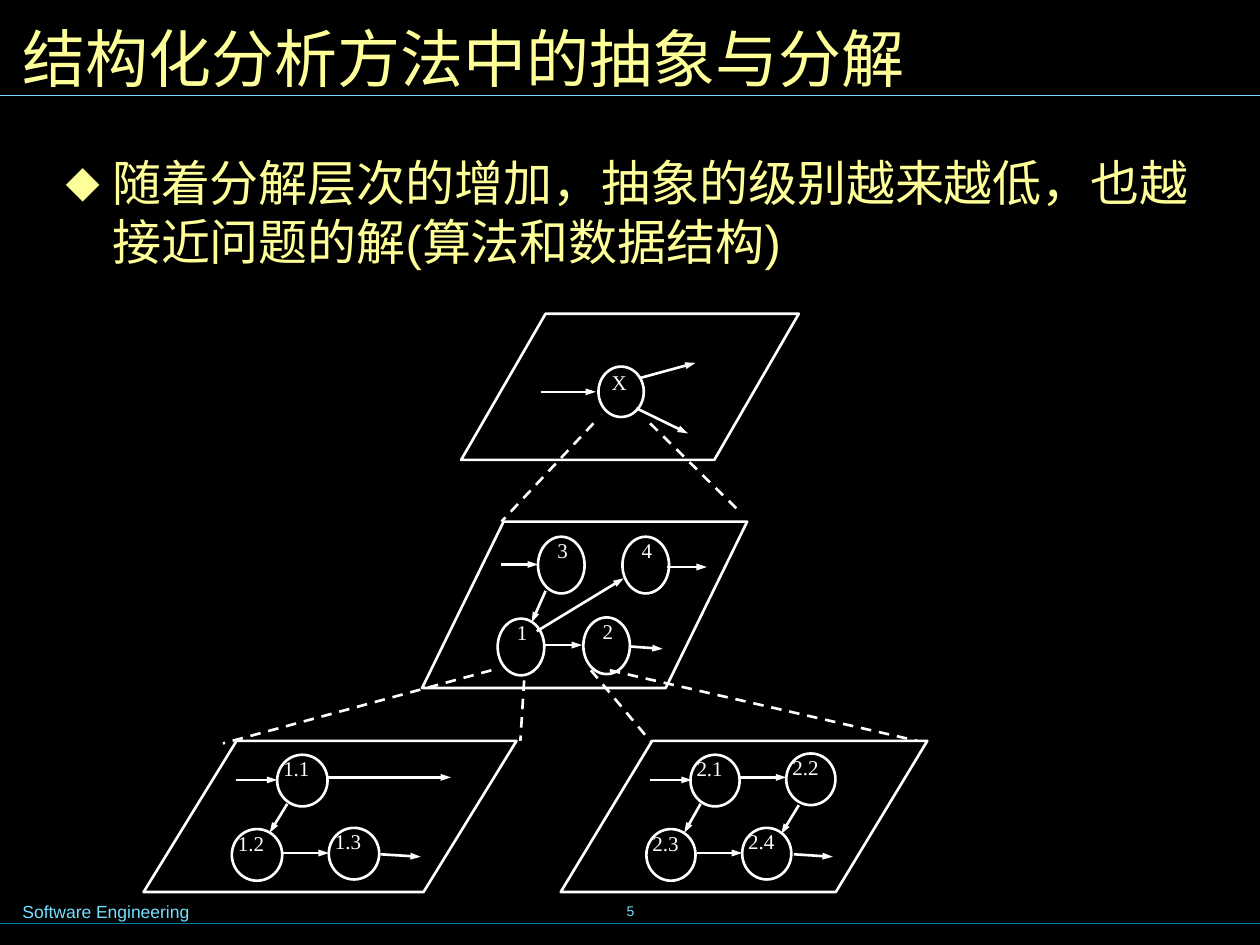
from lxml.etree import SubElement
from pptx import Presentation
from pptx.dml.color import RGBColor
from pptx.enum.dml import MSO_LINE
from pptx.enum.shapes import MSO_CONNECTOR, MSO_SHAPE
from pptx.enum.text import MSO_ANCHOR, PP_ALIGN
from pptx.oxml.ns import qn
from pptx.util import Pt

PX = 9144  # EMU in one px, 100 px to the inch
BLACK = RGBColor(0x00, 0x00, 0x00)
WHITE = RGBColor(0xFF, 0xFF, 0xFF)
CREAM = RGBColor(0xFF, 0xFF, 0x99)
SKY = RGBColor(0x73, 0xE1, 0xFF)
TEAL = RGBColor(0x00, 0x7E, 0x9F)

# Node places and flows are relative to the panel, labels to their node.
TOP = dict(
    box=(366, 249, 268, 116), slant=0.578, size=(36, 40),
    label=(-8, -3, 49, 47), align=PP_ALIGN.CENTER,
    nodes={"X": (109, 42)},
    flows=[(139, 75, 180, 95), (63, 62, 107, 62), (142, 51, 186, 39)],
)
MID = dict(
    box=(335, 414, 258, 132), slant=0.49, size=(37, 45),
    label=(-4, -4, 47, 53), align=PP_ALIGN.CENTER,
    nodes={"2": (128, 76), "1": (60, 77), "4": (159, 12), "3": (92, 12)},
    flows=[(96, 98, 127, 98), (164, 99, 191, 101), (194, 36, 226, 36),
           (63, 34, 92, 34), (98, 55, 87, 80), (91, 87, 160, 45)],
)
LEFT = dict(
    box=(114, 588, 296, 120), slant=0.615, size=(40, 41),
    label=(-5, -4, 54, 48), align=PP_ALIGN.JUSTIFY,
    nodes={"1.3": (147, 69), "1.2": (70, 70), "1.1": (106, 11)},
    flows=[(110, 89, 147, 89), (188, 90, 220, 92), (145, 29, 244, 29),
           (73, 31, 106, 31), (114, 50, 100, 73)],
)
RIGHT = dict(
    box=(445, 588, 291, 120), slant=0.605, size=(39, 41),
    label=(-5, -4, 53, 48), align=PP_ALIGN.JUSTIFY,
    nodes={"2.4": (144, 69), "2.3": (68, 70), "2.2": (179, 10), "2.1": (103, 11)},
    flows=[(108, 89, 144, 89), (185, 90, 216, 92), (142, 29, 179, 29),
           (71, 31, 104, 31), (111, 50, 98, 73), (189, 51, 175, 74)],
)
ZOOMS = [(471, 336, 398, 414), (516, 336, 587, 406), (390, 532, 177, 590),
         (416, 540, 413, 588), (469, 532, 516, 588), (484, 532, 728, 588)]


def emu(*nums):
    return [n * PX for n in nums]


def add_text(shapes, box, text, font, size, color, align=PP_ALIGN.LEFT,
             anchor=MSO_ANCHOR.TOP, inset=(10, 5), wrap=True, bullet=None):
    frame = shapes.add_textbox(*emu(*box)).text_frame
    frame.word_wrap = wrap
    frame.vertical_anchor = anchor
    frame.margin_left = frame.margin_right = inset[0] * PX
    frame.margin_top = frame.margin_bottom = inset[1] * PX
    para = frame.paragraphs[0]
    para.alignment = align
    if bullet:
        add_bullet(para, bullet, color, 37)
    run = para.add_run()
    run.text = text
    run.font.name = font
    run.font.size = Pt(size)
    run.font.color.rgb = color


def add_bullet(para, mark, color, indent):
    props = para._p.get_or_add_pPr()
    props.set("marL", str(indent * PX))
    props.set("indent", str(-indent * PX))
    tint = SubElement(props, qn("a:buClr"))
    SubElement(tint, qn("a:srgbClr"), val=str(color))
    SubElement(props, qn("a:buFont"), typeface="Arial")
    SubElement(props, qn("a:buChar"), char=mark)


def add_line(shapes, ends, color=WHITE, width=1.5, dash=None, arrow=False):
    link = shapes.add_connector(MSO_CONNECTOR.STRAIGHT, *emu(*ends))
    link.line.color.rgb = color
    link.line.width = Pt(width)
    if dash:
        link.line.dash_style = dash
    props = link._element.spPr
    if arrow:
        SubElement(props.find(qn("a:ln")), qn("a:tailEnd"),
                   type="triangle", w="sm", len="med")
    SubElement(props, qn("a:effectLst"))


def add_frame(shapes, kind, box):
    """Add an unfilled shape with a white outline."""
    shape = shapes.add_shape(kind, *emu(*box))
    shape.shadow.inherit = False
    shape.fill.background()
    shape.line.color.rgb = WHITE
    shape.line.width = Pt(1.5)
    return shape


def add_head(shapes, box):
    left, top, width, height = box
    add_line(shapes, (left, top + height, left + width, top + height), SKY, 0.75)
    add_text(shapes, (left + 8, top + 8, width - 16, height - 1),
             "结构化分析方法中的抽象与分解", "Arial Narrow", 36, CREAM,
             anchor=MSO_ANCHOR.MIDDLE)


def add_body(shapes, box):
    add_text(shapes, box,
             "随着分解层次的增加，抽象的级别越来越低，也越接近问题的解(算法和数据结构)",
             "Arial", 28, CREAM, inset=(12, 6), bullet="⬥")


def add_panel(shapes, box, slant, size, label, align, nodes, flows):
    """Add one level of the data flow: its plane, nodes and arrows."""
    left, top = box[:2]
    plane = add_frame(shapes, MSO_SHAPE.PARALLELOGRAM, box)
    plane.adjustments[0] = slant
    for name, (x, y) in nodes.items():
        x, y = left + x, top + y
        dx, dy, width, height = label
        add_text(shapes, (x + dx, y + dy, width, height), name,
                 "Times New Roman", 12, WHITE, align)
        add_frame(shapes, MSO_SHAPE.OVAL, (x, y, *size))
    for x1, y1, x2, y2 in flows:
        add_line(shapes, (left + x1, top + y1, left + x2, top + y2), arrow=True)


def add_foot(shapes, box):
    left, top, width, height = box
    add_text(shapes, (left + 342, top, 317, 50), "5", "Arial", 8, SKY,
             PP_ALIGN.CENTER, MSO_ANCHOR.MIDDLE, wrap=False)
    add_line(shapes, (left, top + height, left + width, top + height), TEAL, 0.75)
    add_text(shapes, (left + 8, top + 12, 295, 27), "Software Engineering",
             "Arial", 10, SKY)


def main():
    deck = Presentation()
    deck.slide_width, deck.slide_height = emu(1000, 750)
    slide = deck.slides.add_slide(deck.slide_layouts[6])
    slide.background.fill.solid()
    slide.background.fill.fore_color.rgb = BLACK
    shapes = slide.shapes
    add_foot(shapes, (0, 698, 1000, 35))
    add_head(shapes, (0, 0, 1000, 76))
    add_body(shapes, (40, 115, 929, 110))
    for level in (RIGHT, MID, LEFT, TOP):
        add_panel(shapes, **level)
    for ends in ZOOMS:
        add_line(shapes, ends, dash=MSO_LINE.DASH)
    deck.save("out.pptx")


if __name__ == "__main__":
    main()
